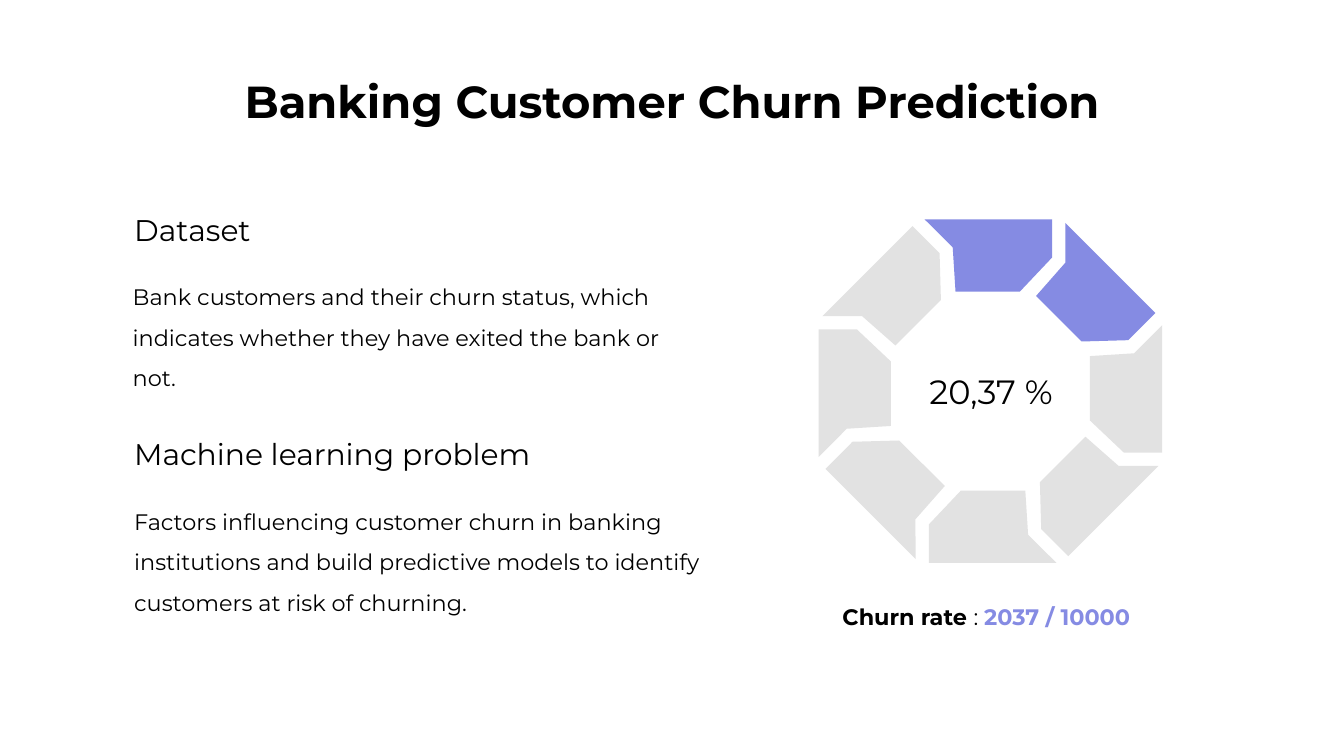
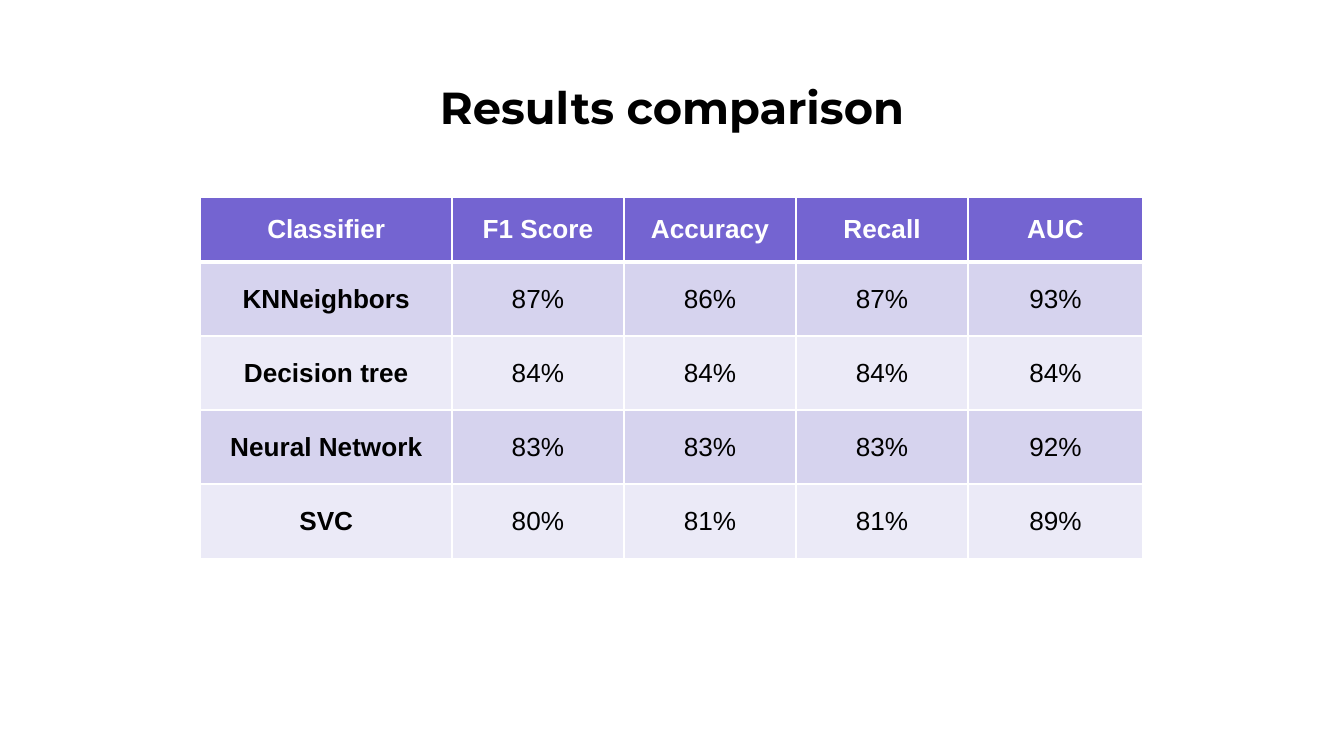
import math

from lxml import etree
from pptx import Presentation
from pptx.dml import color
from pptx.enum import text
from pptx.oxml import ns
from pptx.util import Pt

# Shared style
BLACK, WHITE = "000000", "FFFFFF"
ACCENT, GREY = "858BE3", "E2E2E2"
HEADER, BANDS = "7464D1", ("D6D3EE", "EBEAF7")
HEADING_FONT, TABLE_FONT = "Montserrat", "Arial"
LEFT, CENTER = text.PP_ALIGN.LEFT, text.PP_ALIGN.CENTER
TOP, MIDDLE, BOTTOM = (
    text.MSO_ANCHOR.TOP, text.MSO_ANCHOR.MIDDLE, text.MSO_ANCHOR.BOTTOM)
TITLE_ONLY = 5


def rgb(value):
    return color.RGBColor.from_string(value)


def apply_format(target, values):
    for name, value in values.items():
        setattr(target, name, value)


class Deck:
    """Holds the presentation, its style and the current slide."""

    def __init__(self):
        self.presentation = Presentation()
        apply_format(self.presentation,
                     {"slide_width": Pt(720), "slide_height": Pt(405)})
        self.slide = None

    def add_slide(self, title, top):
        layout = self.presentation.slide_layouts[TITLE_ONLY]
        self.slide = self.presentation.slides.add_slide(layout)
        shape = self.slide.shapes.title
        apply_format(shape, {"left": Pt(35.5), "top": Pt(top),
                             "width": Pt(649), "height": Pt(44)})
        self.fill_frame(shape.text_frame, [(title, BLACK, True)], 24,
                        align=CENTER)

    def fill_frame(self, frame, runs, size, align=LEFT, anchor=TOP,
                   spacing=1.0):
        margins = {f"margin_{side}": Pt(7.2)
                   for side in ("left", "top", "right", "bottom")}
        apply_format(frame, {"word_wrap": True, "vertical_anchor": anchor,
                             "auto_size": text.MSO_AUTO_SIZE.NONE, **margins})
        paragraph = frame.paragraphs[0]
        apply_format(paragraph, {"alignment": align, "line_spacing": spacing})
        self.add_runs(paragraph, runs, size, HEADING_FONT)

    def add_runs(self, paragraph, runs, size, font):
        for words, tint, bold in runs:
            run = paragraph.add_run()
            run.text = words
            apply_format(run.font,
                         {"name": font, "size": Pt(size), "bold": bold})
            run.font.color.rgb = rgb(tint)

    def add_text(self, box, runs, size, **layout):
        shape = self.slide.shapes.add_textbox(*map(Pt, box))
        self.fill_frame(shape.text_frame, runs, size, **layout)

    def add_outline(self, points, fill):
        corners = [(Pt(x), Pt(y)) for x, y in points]
        builder = self.slide.shapes.build_freeform(*corners[0])
        builder.add_line_segments(corners[1:], close=True)
        shape = builder.convert_to_shape()
        shape.shadow.inherit = False
        shape.fill.solid()
        shape.fill.fore_color.rgb = rgb(fill)
        shape.line.fill.background()

    def add_table(self, left, top, widths, heights, rows):
        table = self.slide.shapes.add_table(
            len(rows), len(widths), Pt(left), Pt(top),
            Pt(sum(widths)), Pt(sum(heights))).table
        table.horz_banding = False
        for column, width in zip(table.columns, widths):
            column.width = Pt(width)
        for row, height in zip(table.rows, heights):
            row.height = Pt(height)
        for r, values in enumerate(rows):
            for c, value in enumerate(values):
                self.fill_cell(table.cell(r, c), value, r, c)

    def fill_cell(self, cell, value, row, column):
        self.add_borders(cell, top=3 if row == 1 else 1,
                         bottom=3 if row == 0 else 1)
        cell.fill.solid()
        cell.fill.fore_color.rgb = rgb(BANDS[(row - 1) % 2] if row else HEADER)
        cell.vertical_anchor = MIDDLE
        paragraph = cell.text_frame.paragraphs[0]
        paragraph.alignment = CENTER
        run = (value, BLACK if row else WHITE, row == 0 or column == 0)
        self.add_runs(paragraph, [run], 14, TABLE_FONT)

    def add_borders(self, cell, top, bottom):
        properties = cell._tc.get_or_add_tcPr()
        for side, width in (("L", 1), ("R", 1), ("T", top), ("B", bottom)):
            line = etree.SubElement(
                properties, ns.qn(f"a:ln{side}"), w=str(Pt(width)))
            fill = etree.SubElement(line, ns.qn("a:solidFill"))
            etree.SubElement(fill, ns.qn("a:srgbClr"), val=WHITE)


def build_churn_slide(deck):
    deck.add_slide("Banking Customer Churn Prediction", 32.4)

    # Headings with their descriptions
    sections = [
        ("Dataset", (64.8, 107.3, 142, 32.4),
         "Bank customers and their churn status, which indicates whether "
         "they have exited the bank or not.", (64, 137.5, 314.6, 63.4)),
        ("Machine learning problem", (64.8, 227.5, 256, 32.4),
         "Factors influencing customer churn in banking institutions and "
         "build predictive models to identify customers at risk of churning.",
         (64.8, 257.8, 319.7, 82.8)),
    ]
    for heading, heading_box, body, body_box in sections:
        deck.add_text(body_box, [(body, BLACK, False)], 12, spacing=1.5)
        deck.add_text(heading_box, [(heading, BLACK, False)], 16,
                      anchor=BOTTOM, spacing=1.5)

    # Ring: the top segment, turned in eighths about the centre
    center_x, center_y = 530.6, 209.5
    segment = [(33, -92), (33, -71.5), (15.8, -53.3), (-18.7, -53.3),
               (-20.2, -77), (-35.3, -92)]
    for step in range(8):
        cos, sin = math.cos(step * math.pi / 4), math.sin(step * math.pi / 4)
        points = [(center_x + x * cos - y * sin, center_y + x * sin + y * cos)
                  for x, y in segment]
        deck.add_outline(points, ACCENT if step < 2 else GREY)

    # Churn rate
    deck.add_text((473, 180.7, 116, 57.6), [("20,37 %", BLACK, False)], 18,
                  align=CENTER, anchor=MIDDLE)
    deck.add_text((426.2, 316, 204.5, 33.8),
                  [("Churn rate ", BLACK, True), (": ", BLACK, False),
                   ("2037 / 10000", ACCENT, True)], 12, align=CENTER)


def build_results_slide(deck):
    deck.add_slide("Results comparison", 35.3)
    rows = [
        ("Classifier", "F1 Score", "Accuracy", "Recall", "AUC"),
        ("KNNeighbors", "87%", "86%", "87%", "93%"),
        ("Decision tree", "84%", "84%", "84%", "84%"),
        ("Neural Network", "83%", "83%", "83%", "92%"),
        ("SVC", "80%", "81%", "81%", "89%"),
    ]
    widths = [134.6] + [92.2] * 3 + [93.6]
    heights = [34.6] + [39.7] * 4
    deck.add_table(107.5, 105.8, widths, heights, rows)


def main():
    deck = Deck()
    build_churn_slide(deck)
    build_results_slide(deck)
    deck.presentation.save("out.pptx")


if __name__ == "__main__":
    main()
